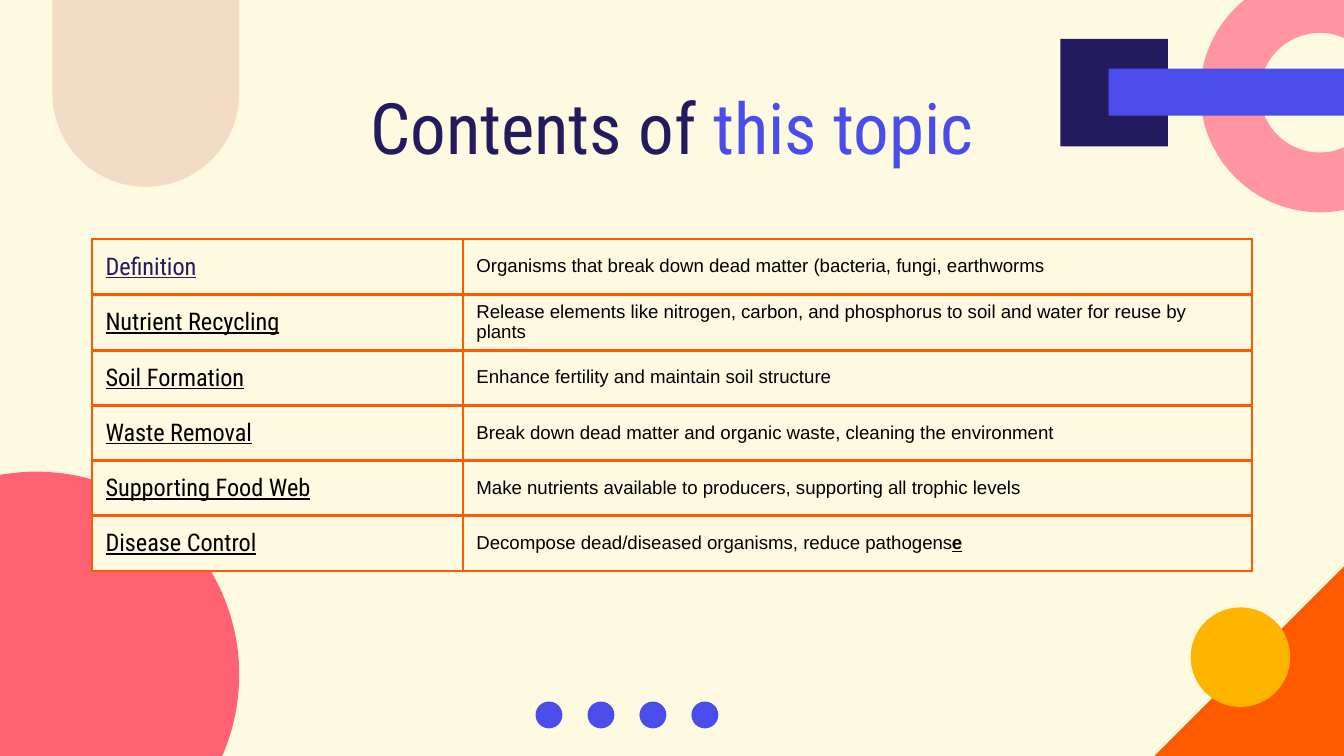
from collections import namedtuple

from lxml.etree import SubElement
from pptx import Presentation
from pptx.dml.color import RGBColor
from pptx.enum.shapes import MSO_SHAPE as Shape
from pptx.enum.text import MSO_ANCHOR as Anchor, PP_ALIGN as Align
from pptx.oxml.ns import qn
from pptx.util import Inches, Pt

Box = namedtuple("Box", "left top width height")

SLIDE_WIDTH = Inches(10)
SLIDE_HEIGHT = SLIDE_WIDTH * 9 // 16
COLUMNS = 1000
CELL = SLIDE_WIDTH // COLUMNS
CREAM, NAVY, BLUE, ORANGE, BLACK = "FDFAE1", "241B5F", "4A4DE9", "FF5A00", "000000"
HEADING_FONT, BODY_FONT = "Roboto Condensed", "Arial"
TOPIC_FORMAT = {"name": HEADING_FONT, "size": Pt(13), "underline": True}
DETAIL_FORMAT = {"name": BODY_FONT, "size": Pt(10)}
TOPICS = [
    ("Definition", "Organisms that break down dead matter (bacteria, fungi, earthworms"),
    ("Nutrient Recycling", "Release elements like nitrogen, carbon, and phosphorus "
     "to soil and water for reuse by plants"),
    ("Soil Formation", "Enhance fertility and maintain soil structure"),
    ("Waste Removal", "Break down dead matter and organic waste, cleaning the environment"),
    ("Supporting Food Web", "Make nutrients available to producers, supporting all trophic levels"),
    ("Disease Control", "Decompose dead/diseased organisms, reduce pathogens"),
]


def paint(target, color):
    target.solid()
    target.fore_color.rgb = RGBColor.from_string(color)


def to_lengths(box):
    return [round(value * CELL) for value in box]


def add_run(paragraph, text, color, values):
    run = paragraph.add_run()
    run.text = text
    paint(run.font.fill, color)
    for name, value in values.items():
        setattr(run.font, name, value)


def add_decoration(slide, box, kind, color, left=0, top=0, width=None, height=None):
    place = Box(box.left + left, box.top + top, width or box.width, height or box.height)
    shape = slide.shapes.add_shape(kind, *to_lengths(place))
    shape.shadow.inherit = False
    shape.line.fill.background()
    paint(shape.fill, color)
    return shape


def add_title(slide, box):
    frame = slide.shapes.add_textbox(*to_lengths(box)).text_frame
    for name, value in {"word_wrap": True, "vertical_anchor": Anchor.TOP}.items():
        setattr(frame, name, value)
    paragraph = frame.paragraphs[0]
    for name, value in {"alignment": Align.CENTER, "line_spacing": 0.9}.items():
        setattr(paragraph, name, value)
    for text, color in (("Contents of ", NAVY), ("this topic", BLUE)):
        add_run(paragraph, text, color, {"name": HEADING_FONT, "size": Pt(38)})


def add_borders(cell, color, width):
    properties = cell._tc.get_or_add_tcPr()
    for index, side in enumerate(("lnL", "lnR", "lnT", "lnB")):
        line = properties.makeelement(qn(f"a:{side}"), {"w": str(Pt(width))})
        properties.insert(index, line)
        fill = SubElement(line, qn("a:solidFill"))
        SubElement(fill, qn("a:srgbClr"), val=color)


def add_contents(slide, box):
    table = slide.shapes.add_table(len(TOPICS), 2, *to_lengths(box)).table
    for name in ("first_row", "horz_banding"):
        setattr(table, name, False)
    for column, share in zip(table.columns, (0.32, 0.68)):
        column.width = round(box.width * share) * CELL
    for row_index, texts in enumerate(TOPICS):
        for column_index, text in enumerate(texts):
            cell = table.cell(row_index, column_index)
            cell.vertical_anchor = Anchor.MIDDLE
            paint(cell.fill, CREAM)
            add_borders(cell, ORANGE, 1.5)
            paragraph = cell.text_frame.paragraphs[0]
            if column_index:
                paragraph.line_spacing = 0.95
            color = NAVY if row_index == column_index == 0 else BLACK
            values = DETAIL_FORMAT if column_index else TOPIC_FORMAT
            add_run(paragraph, text, color, values)
    ending = table.cell(len(TOPICS) - 1, 1).text_frame.paragraphs[0]
    add_run(ending, "e", BLACK, {**DETAIL_FORMAT, "bold": True, "underline": True})


def add_top_left_arch(slide, box):
    arch = add_decoration(slide, box, Shape.FLOWCHART_DELAY, "F3DCC6")
    arch.rotation = 90


def add_top_right_corner(slide, box):
    add_decoration(slide, box, Shape.RECTANGLE, NAVY, 0, 29, 80, 80)
    ring = add_decoration(slide, box, Shape.DONUT, "FF95A1", 104, -20, 178, 178)
    ring.adjustments[0] = 0.25
    add_decoration(slide, box, Shape.RECTANGLE, BLUE, 36, 51, 184, 35)


def add_bottom_right_corner(slide, box):
    triangle = add_decoration(slide, box, Shape.RIGHT_TRIANGLE, ORANGE)
    triangle.element.spPr.find(qn("a:xfrm")).set("flipH", "1")
    add_decoration(slide, box, Shape.OVAL, "FFB400", 27, 30.5, 74, 74)


def add_dots(slide, box, count):
    step = (box.width - box.height) / (count - 1)
    for index in range(count):
        add_decoration(slide, box, Shape.OVAL, BLUE, index * step, 0, box.height)


def main():
    presentation = Presentation()
    for name, value in {"slide_width": SLIDE_WIDTH, "slide_height": SLIDE_HEIGHT}.items():
        setattr(presentation, name, value)
    slide = presentation.slides.add_slide(presentation.slide_layouts[6])
    paint(slide.background.fill, CREAM)
    add_decoration(slide, Box(-124, 351, 302, 302), Shape.OVAL, "FF6273")
    add_title(slide, Box(79, 64.5, 842, 78))
    add_contents(slide, Box(68.5, 178, 863, 246))
    add_top_left_arch(slide, Box(39, 0, 139, 139))
    add_top_right_corner(slide, Box(789, 0, 211, 158))
    add_bottom_right_corner(slide, Box(859, 421.5, 141, 141))
    add_dots(slide, Box(398.5, 522, 136, 20), 4)
    presentation.save("out.pptx")


if __name__ == "__main__":
    main()
